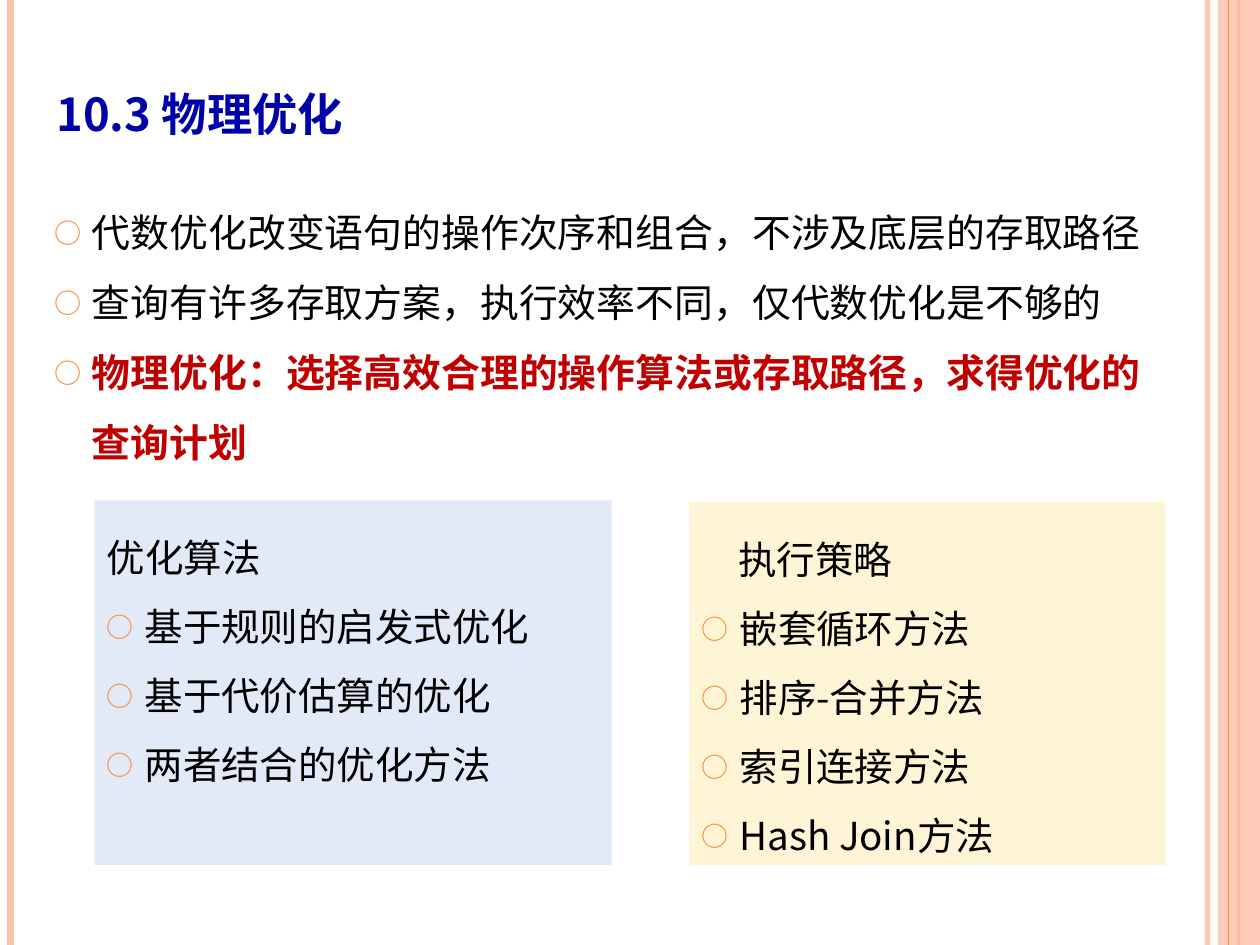
from dataclasses import dataclass

import pptx
import pptx.dml.color
import pptx.enum.shapes
import pptx.enum.text
import pptx.oxml.ns
import pptx.util
from lxml import etree

Pt = pptx.util.Pt
RGBColor = pptx.dml.color.RGBColor
qn = pptx.oxml.ns.qn

FONT = "Noto Sans CJK SC"
NAVY = RGBColor(0x00, 0x00, 0xA8)
BLACK = RGBColor(0x00, 0x00, 0x00)
RED = RGBColor(0xC0, 0x00, 0x00)
ORANGE = RGBColor(0xFE, 0x86, 0x37)
PEACH = RGBColor(0xFE, 0xC3, 0xAE)
PALE_BLUE = RGBColor(0xE3, 0xEA, 0xF7)
PALE_YELLOW = RGBColor(0xFD, 0xF5, 0xD5)

SLIDE_WIDTH, SLIDE_HEIGHT = 720, 540
HANGING = 21.6


@dataclass(frozen=True)
class Rule:
    x: float
    width: float
    color: RGBColor
    opacity: int = 100


@dataclass(frozen=True)
class Panel:
    left: float
    top: float
    width: float
    height: float
    fill: RGBColor
    heading: str
    heading_indent: float
    methods: tuple[str, ...]


LEFT_RULES = (Rule(690, 3, PEACH, 93), Rule(6, 4.5, PEACH), Rule(707.6, 1.5, ORANGE))
BAND_RULE = Rule(702, 0.75, ORANGE)

POINTS = (
    ("代数优化改变语句的操作次序和组合，不涉及底层的存取路径", BLACK, False),
    ("查询有许多存取方案，执行效率不同，仅代数优化是不够的", BLACK, False),
    ("物理优化：选择高效合理的操作算法或存取路径，求得优化的查询计划", RED, True),
)

PANELS = (
    Panel(54, 286, 295.6, 208.2, PALE_BLUE, "优化算法", 0,
          ("基于规则的启发式优化", "基于代价估算的优化", "两者结合的优化方法")),
    Panel(394, 287, 272, 207.2, PALE_YELLOW, "执行策略", 21,
          ("嵌套循环方法", "排序-合并方法", "索引连接方法", "Hash Join方法")),
)


def set_opacity(fill_owner, percent: int) -> None:
    color = next(fill_owner.iter(qn("a:srgbClr")))
    etree.SubElement(color, qn("a:alpha"), val=str(percent * 1000))


def draw_rule(slide, rule: Rule) -> None:
    line = slide.shapes.add_connector(
        pptx.enum.shapes.MSO_CONNECTOR.STRAIGHT,
        Pt(rule.x), Pt(0), Pt(rule.x), Pt(SLIDE_HEIGHT))
    line.line.color.rgb = rule.color
    line.line.width = Pt(rule.width)
    properties = line._element.spPr
    if rule.opacity < 100:
        set_opacity(properties, rule.opacity)
    etree.SubElement(properties, qn("a:effectLst"))


def draw_rectangle(slide, left: float, top: float, width: float, height: float,
                   color: RGBColor):
    rectangle = slide.shapes.add_shape(
        pptx.enum.shapes.MSO_SHAPE.RECTANGLE, Pt(left), Pt(top), Pt(width), Pt(height))
    rectangle.shadow.inherit = False
    rectangle.fill.solid()
    rectangle.fill.fore_color.rgb = color
    rectangle.line.fill.background()
    return rectangle


def prepare_frame(frame, *, top: float = 6, bottom: float = 3.6,
                  anchor=pptx.enum.text.MSO_ANCHOR.TOP) -> None:
    frame.word_wrap = True
    frame.margin_left = frame.margin_right = Pt(7.2)
    frame.margin_top, frame.margin_bottom = Pt(top), Pt(bottom)
    frame.vertical_anchor = anchor


def write(frame, text: str, *, size: float, color: RGBColor = BLACK,
          bold: bool = False, bullet: bool = False, indent: float = 0,
          line_height: float | None = None, small_caps: bool = False) -> None:
    """Fill the frame's empty first paragraph, or append another one."""
    first = frame.paragraphs[0]
    paragraph = frame.add_paragraph() if first.runs else first
    paragraph.alignment = pptx.enum.text.PP_ALIGN.LEFT
    if line_height:
        paragraph.line_spacing = Pt(line_height)
    properties = paragraph._p.get_or_add_pPr()
    if bullet:
        properties.set("marL", str(Pt(HANGING)))
        properties.set("indent", str(-Pt(HANGING)))
        bullet_color = etree.SubElement(properties, qn("a:buClr"))
        etree.SubElement(bullet_color, qn("a:srgbClr"), val=str(ORANGE))
        etree.SubElement(properties, qn("a:buSzPct"), val="70000")
        etree.SubElement(properties, qn("a:buFont"), typeface=FONT)
        etree.SubElement(properties, qn("a:buChar"), char="○")
    elif indent:
        properties.set("marL", str(Pt(indent)))
    run = paragraph.add_run()
    run.text = text
    run.font.size = Pt(size)
    run.font.bold = bold
    run.font.color.rgb = color
    run.font.name = FONT
    run_properties = run._r.get_or_add_rPr()
    etree.SubElement(run_properties, qn("a:ea"), typeface=FONT)
    if small_caps:
        run_properties.set("cap", "small")


def draw_panel(slide, panel: Panel) -> None:
    frame = draw_rectangle(slide, panel.left, panel.top, panel.width, panel.height,
                           panel.fill).text_frame
    prepare_frame(frame)
    write(frame, panel.heading, size=22, indent=panel.heading_indent, line_height=39.5)
    for method in panel.methods:
        write(frame, method, size=22, bullet=True, line_height=39.5)


def main() -> None:
    deck = pptx.Presentation()
    deck.slide_width, deck.slide_height = Pt(SLIDE_WIDTH), Pt(SLIDE_HEIGHT)
    slide = deck.slides.add_slide(deck.slide_layouts[6])

    for rule in LEFT_RULES:
        draw_rule(slide, rule)
    band = draw_rectangle(slide, 696, 0, 24, SLIDE_HEIGHT, PEACH)
    set_opacity(band._element.spPr, 87)
    draw_rule(slide, BAND_RULE)

    title = slide.shapes.add_textbox(Pt(25.2), Pt(38.2), Pt(652.3), Pt(44.6)).text_frame
    prepare_frame(title, top=3.6, bottom=1, anchor=pptx.enum.text.MSO_ANCHOR.BOTTOM)
    write(title, "10.3 物理优化", size=32.4, color=NAVY, bold=True, small_caps=True)

    body = slide.shapes.add_textbox(Pt(23.8), Pt(100), Pt(653.8), Pt(170)).text_frame
    prepare_frame(body)
    for text, color, bold in POINTS:
        write(body, text, size=22.2, color=color, bold=bold, bullet=True, line_height=40)

    for panel in PANELS:
        draw_panel(slide, panel)

    deck.save("out.pptx")


if __name__ == "__main__":
    main()
